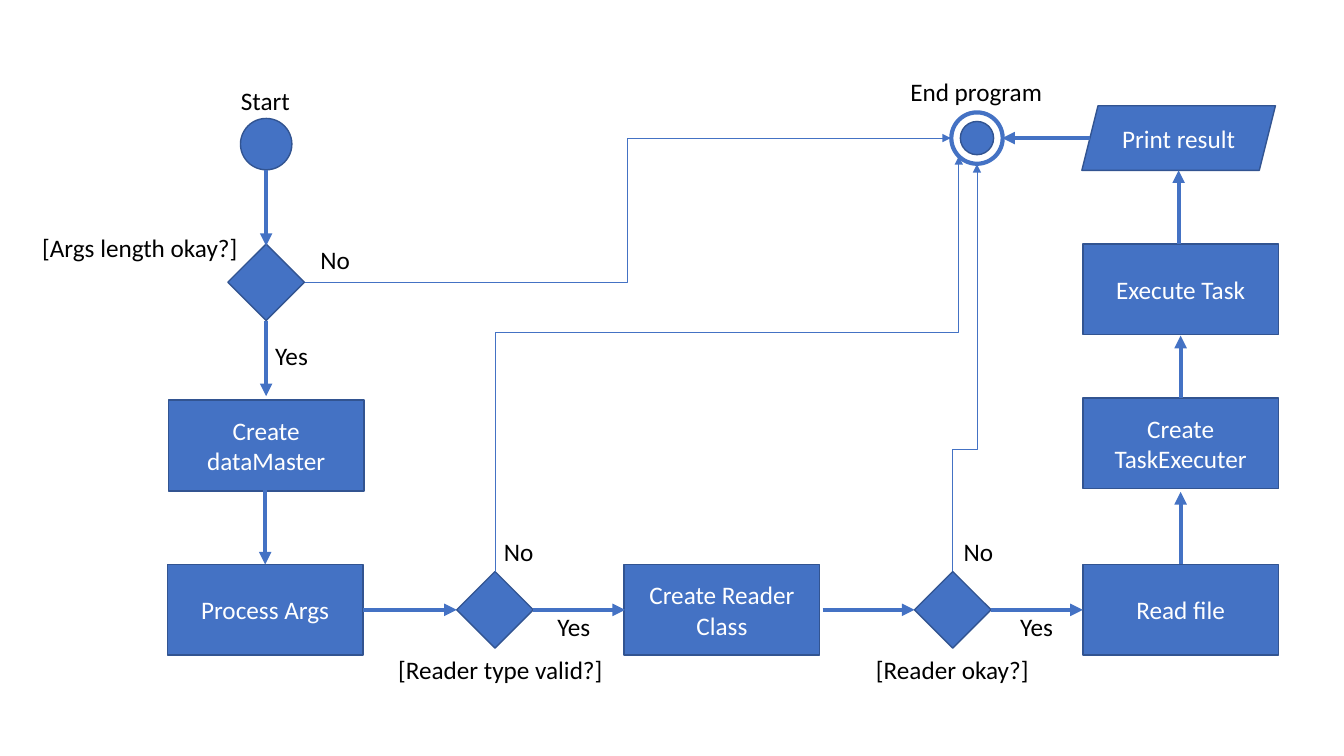
from typing import NamedTuple

from lxml.etree import SubElement
from pptx import Presentation
from pptx.dml.color import RGBColor
from pptx.enum.shapes import MSO_CONNECTOR, MSO_SHAPE
from pptx.enum.text import MSO_ANCHOR, MSO_AUTO_SIZE, PP_ALIGN
from pptx.oxml.ns import qn
from pptx.shapes.connector import Connector
from pptx.slide import Slide
from pptx.text.text import TextFrame
from pptx.util import Inches, Pt

BLUE = RGBColor(0x44, 0x72, 0xC4)
DARK_BLUE = RGBColor(0x32, 0x54, 0x91)
WHITE = RGBColor(0xFF, 0xFF, 0xFF)
BLACK = RGBColor(0x00, 0x00, 0x00)

FONT = "Calibri"
TEXT_SIZE = Pt(18)
LABEL_HEIGHT = 0.4
BOX_WIDTH, BOX_HEIGHT = 1.94, 0.9
DIAMOND_SIZE = 0.76

START_X = 2.64      # axis of the start column
FLOW_Y = 6.05       # axis of the bottom row
END_X, END_Y = 9.69, 1.37
TASK_LEFT = 10.74   # left edge of the task column
TASK_X = TASK_LEFT + BOX_WIDTH / 2
ROW_TOP = FLOW_Y - BOX_HEIGHT / 2


class Node(NamedTuple):
    kind: MSO_SHAPE
    left: float
    top: float
    width: float
    height: float
    text: str = ""
    is_ring: bool = False


class Label(NamedTuple):
    text: str
    left: float
    top: float
    width: float


class Arrow(NamedTuple):
    x1: float
    y1: float
    x2: float
    y2: float


class BentArrow(NamedTuple):
    start: tuple[float, float]
    end: tuple[float, float]
    bend: float
    leaves_upward: bool


def process(left: float, top: float, text: str) -> Node:
    return Node(MSO_SHAPE.RECTANGLE, left, top, BOX_WIDTH, BOX_HEIGHT, text)


def centred(kind: MSO_SHAPE, x: float, y: float, size: float, is_ring: bool = False) -> Node:
    return Node(kind, x - size / 2, y - size / 2, size, size, is_ring=is_ring)


def decision(x: float, y: float) -> Node:
    return centred(MSO_SHAPE.DIAMOND, x, y, DIAMOND_SIZE)


NODES = [
    centred(MSO_SHAPE.OVAL, START_X, 1.43, 0.51),
    decision(START_X, 2.8),
    process(1.67, 3.97, "Create dataMaster"),
    process(1.66, ROW_TOP, "Process Args"),
    decision(4.91, FLOW_Y),
    process(6.19, ROW_TOP, "Create Reader Class"),
    decision(9.45, FLOW_Y),
    process(TASK_LEFT, ROW_TOP, "Read file"),
    process(TASK_LEFT, 3.95, "Create TaskExecuter"),
    process(TASK_LEFT, 2.42, "Execute Task"),
    Node(MSO_SHAPE.PARALLELOGRAM, 10.73, 1.05, 1.92, 0.64, "Print result"),
    centred(MSO_SHAPE.OVAL, END_X, END_Y, 0.51, is_ring=True),
    centred(MSO_SHAPE.OVAL, END_X, END_Y, 0.33),
]

ARROWS = [
    Arrow(START_X, 1.69, START_X, 2.44),
    Arrow(START_X, 3.18, START_X, 3.93),
    Arrow(2.63, 4.85, 2.63, ROW_TOP),
    Arrow(3.6, FLOW_Y, 4.53, FLOW_Y),
    Arrow(5.29, FLOW_Y, 6.2, FLOW_Y),
    Arrow(8.16, FLOW_Y, 9.07, FLOW_Y),
    Arrow(9.83, FLOW_Y, TASK_LEFT, FLOW_Y),
    Arrow(TASK_X, ROW_TOP, TASK_X, 4.88),
    Arrow(TASK_X, 3.95, TASK_X, 3.33),
    Arrow(11.69, 2.42, 11.69, 1.69),
    Arrow(10.81, END_Y, 9.94, END_Y),
]

BENT_ARROWS = [
    BentArrow((3.02, 2.8), (9.43, END_Y), 0.5, leaves_upward=False),
    BentArrow((4.91, 5.67), (9.51, 1.55), 0.577, leaves_upward=True),
    BentArrow((9.45, 5.67), (END_X, 1.63), 0.3, leaves_upward=True),
]

LABELS = [
    Label("Start", 2.29, 0.8, 0.69),
    Label("End program", 8.93, 0.71, 1.52),
    Label("[Args length okay?]", 0.32, 2.26, 2.16),
    Label("[Reader type valid?]", 3.85, 6.44, 2.25),
    Label("[Reader okay?]", 8.59, 6.44, 1.73),
    Label("Yes", 2.63, 3.33, 0.53),
    Label("Yes", 5.43, 6.02, 0.53),
    Label("Yes", 10.02, 6.02, 0.53),
    Label("No", 3.08, 2.37, 0.5),
    Label("No", 4.9, 5.27, 0.5),
    Label("No", 9.46, 5.27, 0.5),
]


def write(frame: TextFrame, text: str, color: RGBColor, align: PP_ALIGN) -> None:
    para = frame.paragraphs[0]
    para.alignment = align
    span = para.add_run()
    span.text = text
    span.font.name = FONT
    span.font.size = TEXT_SIZE
    span.font.color.rgb = color


def draw_node(page: Slide, node: Node) -> None:
    shape = page.shapes.add_shape(
        node.kind, Inches(node.left), Inches(node.top), Inches(node.width), Inches(node.height)
    )
    shape.shadow.inherit = False
    if node.is_ring:
        shape.fill.background()
    else:
        shape.fill.solid()
        shape.fill.fore_color.rgb = BLUE
    shape.line.color.rgb = BLUE if node.is_ring else DARK_BLUE
    shape.line.width = Pt(3 if node.is_ring else 1)
    if node.text:
        shape.text_frame.word_wrap = True
        shape.text_frame.vertical_anchor = MSO_ANCHOR.MIDDLE
        write(shape.text_frame, node.text, WHITE, PP_ALIGN.CENTER)


def draw_label(page: Slide, label: Label) -> None:
    box = page.shapes.add_textbox(
        Inches(label.left), Inches(label.top), Inches(label.width), Inches(LABEL_HEIGHT)
    )
    box.text_frame.word_wrap = False
    box.text_frame.auto_size = MSO_AUTO_SIZE.SHAPE_TO_FIT_TEXT
    write(box.text_frame, label.text, BLACK, PP_ALIGN.LEFT)


def draw_arrow(page: Slide, kind: MSO_CONNECTOR, arrow: Arrow, weight: float) -> Connector:
    connector = page.shapes.add_connector(kind, *(Inches(value) for value in arrow))
    connector.line.color.rgb = BLUE
    connector.line.width = Pt(weight)
    properties = connector._element.spPr
    SubElement(properties.find(qn("a:ln")), qn("a:tailEnd"), type="triangle")
    SubElement(properties, qn("a:effectLst"))
    return connector


def draw_bent_arrow(page: Slide, bent: BentArrow) -> None:
    """Draw an elbow; one that leaves upward is laid flat, then turned 90 degrees."""
    (x1, y1), (x2, y2) = bent.start, bent.end
    ends = Arrow(x1, y1, x2, y2)
    if bent.leaves_upward:
        middle_x, middle_y = (x1 + x2) / 2, (y1 + y2) / 2
        half_width, half_height = (y1 - y2) / 2, (x2 - x1) / 2
        ends = Arrow(middle_x + half_width, middle_y + half_height,
                     middle_x - half_width, middle_y - half_height)
    connector = draw_arrow(page, MSO_CONNECTOR.ELBOW, ends, 0.5)
    properties = connector._element.spPr
    if bent.leaves_upward:
        properties.find(qn("a:xfrm")).set("rot", str(90 * 60000))
    adjustments = properties.find(qn("a:prstGeom")).find(qn("a:avLst"))
    SubElement(adjustments, qn("a:gd"), name="adj1", fmla=f"val {round(bent.bend * 100000)}")


def main() -> None:
    deck = Presentation()
    deck.slide_width, deck.slide_height = Inches(13.33), Inches(7.5)
    page = deck.slides.add_slide(deck.slide_layouts[6])
    for node in NODES:
        draw_node(page, node)
    for arrow in ARROWS:
        draw_arrow(page, MSO_CONNECTOR.STRAIGHT, arrow, 3)
    for bent in BENT_ARROWS:
        draw_bent_arrow(page, bent)
    for label in LABELS:
        draw_label(page, label)
    deck.save("out.pptx")


if __name__ == "__main__":
    main()
